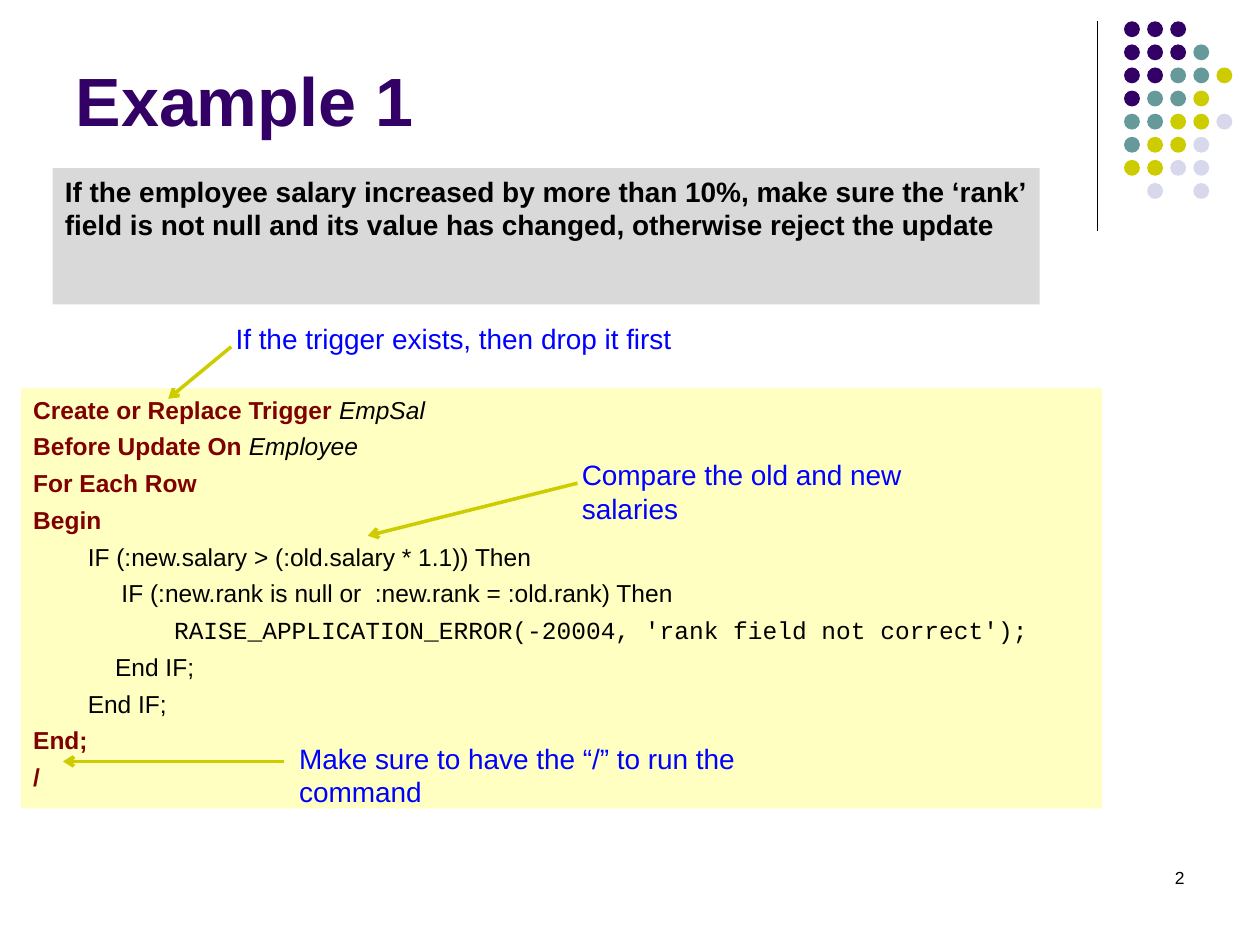
"""Build the slide that explains an SQL trigger on employee salaries."""
from lxml.etree import SubElement
from pptx import Presentation
from pptx.dml.color import RGBColor
from pptx.enum.shapes import MSO_CONNECTOR, MSO_SHAPE
from pptx.enum.text import MSO_ANCHOR, PP_ALIGN
from pptx.oxml.ns import qn
from pptx.util import Cm, Pt

COLORS = {
    "black": "000000", "purple": "330066", "teal": "669999", "olive": "CCCC00",
    "lavender": "D8D8EC", "gray": "D9D9D9", "cream": "FFFFC2",
    "maroon": "800000", "blue": "0000FF",
}
STYLES = {
    "title": {"size": 39, "color": "purple", "bold": True},
    "rule": {"size": 16, "bold": True},
    "keyword": {"size": 14, "color": "maroon", "bold": True},
    "name": {"size": 14, "italic": True},
    "code": {"size": 14},
    "mono": {"size": 14, "font": "Courier New"},
    "note": {"size": 16, "color": "blue"},
    "number": {"size": 10},
}
TITLE = "Example 1"
RULE = ("If the employee salary increased by more than 10%, make sure the ‘rank’ "
        "field is not null and its value has changed, otherwise reject the update")
TRIGGER = [
    (0, [("Create or Replace Trigger ", "keyword"), ("EmpSal", "name")]),
    (0, [("Before Update On ", "keyword"), ("Employee", "name")]),
    (0, [("For Each Row", "keyword")]),
    (0, [("Begin", "keyword")]),
    (1.1, [("IF (:new.salary > (:old.salary * 1.1)) Then", "code")]),
    (1.78, [("IF (:new.rank is null or  :new.rank = :old.rank) Then", "code")]),
    (2.84, [("RAISE_APPLICATION_ERROR(-20004, 'rank field not correct');", "mono")]),
    (1.65, [("End IF;", "code")]),
    (1.1, [("End IF;", "code")]),
    (0, [("End;", "keyword")]),
    (0, [("/", "keyword")]),
]
NOTES = [
    ("If the trigger exists, then drop it first",
     (4.5, 6.35, 9.3, 0.94), (4.66, 6.99, 3.39, 8.04)),
    ("Compare the old and new salaries",
     (11.48, 9.1, 9.04, 0.94), (11.64, 9.74, 7.41, 10.8)),
    ("Make sure to have the “/” to run the command",
     (5.78, 14.82, 11.92, 0.94), (5.72, 15.35, 1.27, 15.35)),
]
DOT_COLORS = {"P": "purple", "T": "teal", "O": "olive", "L": "lavender"}
DOT_ROWS = ["PPP", "PPPT", "PPTTO", "PTTO", "TTOOL", "TOOL", "OOLL", "-L-L"]
DOT_LEFT, DOT_TOP, DOT_SIZE = 22.66, 0.43, 0.32
DOT_STEP = 3.26 / (len(DOT_ROWS) - 1)


def rgb(color):
    return RGBColor.from_string(COLORS[color])


def add_run(paragraph, text, style):
    look = STYLES[style]
    run = paragraph.add_run()
    run.text = text
    run.font.name = look.get("font", "Arial")
    run.font.size = Pt(look["size"])
    run.font.bold = look.get("bold", False)
    run.font.italic = look.get("italic", False)
    run.font.color.rgb = rgb(look.get("color", "black"))


def add_filled(slide, preset, box, color):
    shape = slide.shapes.add_shape(preset, *map(Cm, box))
    shape.shadow.inherit = False
    shape.fill.solid()
    shape.fill.fore_color.rgb = rgb(color)
    shape.line.fill.background()
    return shape


def add_panel(slide, box, color, lines, space_before):
    panel = add_filled(slide, MSO_SHAPE.RECTANGLE, box, color)
    frame = panel.text_frame
    frame.word_wrap = True
    frame.vertical_anchor = MSO_ANCHOR.TOP
    for index, (indent, runs) in enumerate(lines):
        paragraph = frame.add_paragraph() if index else frame.paragraphs[0]
        paragraph.alignment = PP_ALIGN.LEFT
        paragraph.space_before = Pt(space_before)
        if indent:
            paragraph.font.size = Pt(14)
            paragraph._p.get_or_add_pPr().set("marL", str(Cm(indent)))
        for text, style in runs:
            add_run(paragraph, text, style)


def add_label(slide, box, text, style, alignment=PP_ALIGN.LEFT, wrap=False):
    label = slide.shapes.add_textbox(*map(Cm, box))
    label.text_frame.word_wrap = wrap
    paragraph = label.text_frame.paragraphs[0]
    paragraph.alignment = alignment
    add_run(paragraph, text, style)


def add_line(slide, ends, color, width, arrow=False):
    line = slide.shapes.add_connector(MSO_CONNECTOR.STRAIGHT, *map(Cm, ends))
    line.line.color.rgb = rgb(color)
    line.line.width = Pt(width)
    if arrow:
        SubElement(line.line._get_or_add_ln(), qn("a:tailEnd"), type="arrow")
    SubElement(line._element.spPr, qn("a:effectLst"))


def add_dots(slide):
    for row, codes in enumerate(DOT_ROWS):
        for column, code in enumerate(codes):
            if code in DOT_COLORS:
                box = (DOT_LEFT + column * DOT_STEP, DOT_TOP + row * DOT_STEP,
                       DOT_SIZE, DOT_SIZE)
                add_filled(slide, MSO_SHAPE.OVAL, box, DOT_COLORS[code])


def add_title(slide):
    title = slide.shapes.title
    title.left, title.top, title.width, title.height = map(Cm, (1.27, 0.33, 20.95, 2.62))
    title.text_frame.vertical_anchor = MSO_ANCHOR.BOTTOM
    paragraph = title.text_frame.paragraphs[0]
    paragraph.alignment = PP_ALIGN.LEFT
    add_run(paragraph, TITLE, "title")


def main():
    deck = Presentation()
    deck.slide_width, deck.slide_height = Cm(25.4), Cm(19.05)
    slide = deck.slides.add_slide(deck.slide_layouts[5])
    add_line(slide, (22.12, 0.43, 22.12, 4.65), "black", 0.75)
    add_dots(slide)
    add_title(slide)
    add_label(slide, (18.21, 17.35, 5.92, 1.27), "2", "number", PP_ALIGN.RIGHT, True)
    add_panel(slide, (1.06, 3.39, 19.9, 2.75), "gray", [(0, [(RULE, "rule")])], 4)
    add_panel(slide, (0.42, 7.83, 21.8, 8.47), "cream", TRIGGER, 4.2)
    for text, box, arrow in NOTES:
        add_line(slide, arrow, "olive", 2, arrow=True)
        add_label(slide, box, text, "note")
    deck.save("out.pptx")


if __name__ == "__main__":
    main()
